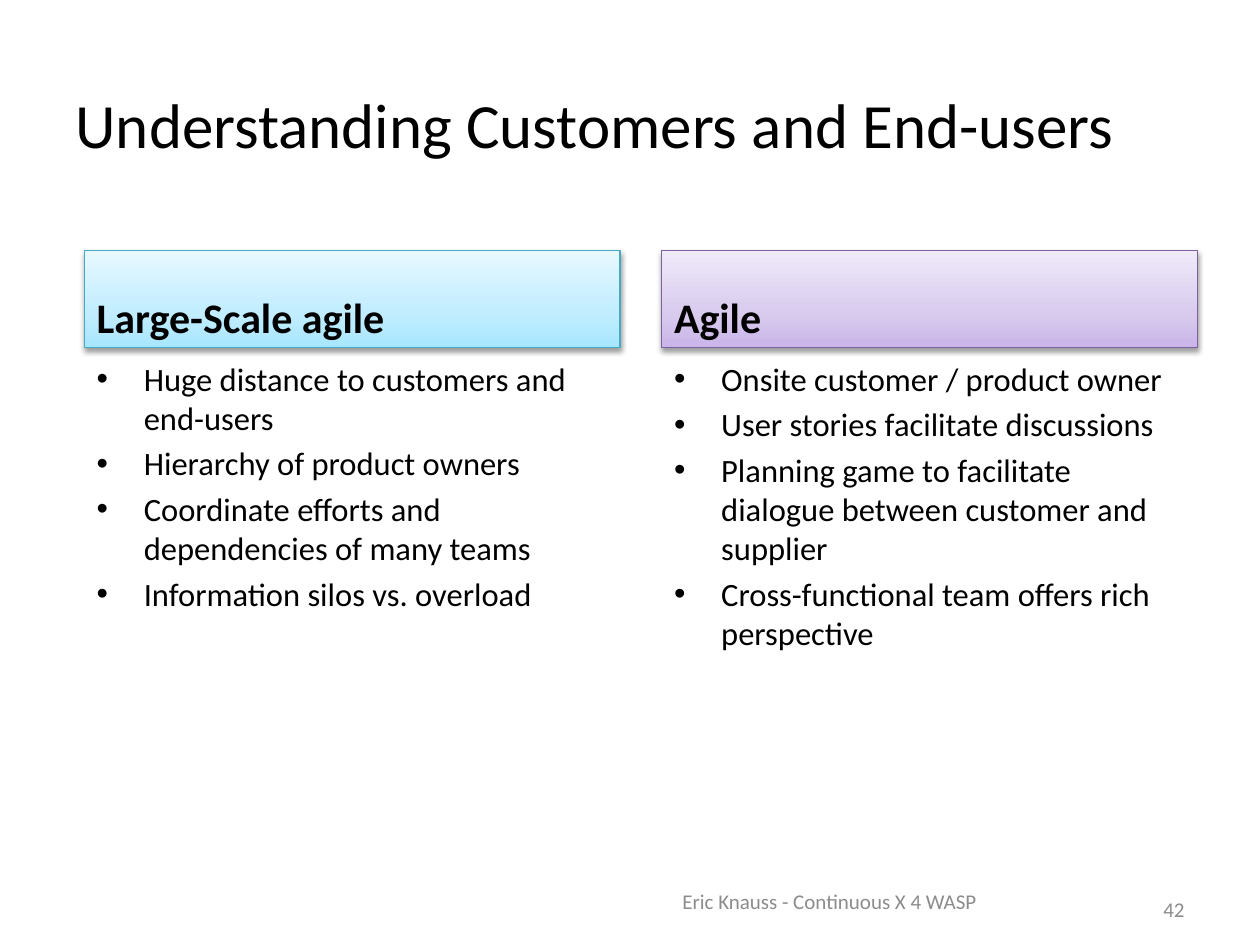
from dataclasses import dataclass

from lxml.etree import SubElement
from pptx import Presentation
from pptx.dml.color import RGBColor
from pptx.enum.shapes import MSO_SHAPE
from pptx.enum.text import MSO_ANCHOR as ANCHOR, MSO_AUTO_SIZE, PP_ALIGN as ALIGN
from pptx.oxml.ns import qn
from pptx.util import Cm, Pt

TITLE = "Understanding Customers and End-users"
COLUMNS = [
    {
        "heading": "Large-Scale agile",
        "points": [
            "Huge distance to customers and end-users",
            "Hierarchy of product owners",
            "Coordinate efforts and dependencies of many teams",
            "Information silos vs. overload",
        ],
        "scheme": "aqua",
    },
    {
        "heading": "Agile",
        "points": [
            "Onsite customer / product owner",
            "User stories facilitate discussions",
            "Planning game to facilitate dialogue between customer and supplier",
            "Cross-functional team offers rich perspective",
        ],
        "scheme": "purple",
    },
]
FOOTER = "Eric Knauss - Continuous X 4 WASP"
PAGE_NUMBER = "42"


@dataclass(frozen=True)
class Theme:
    font: str = "Calibri"
    text: str = "000000"
    muted: str = "8C8C8C"
    title: float = 36
    heading: float = 24
    body: float = 18.6
    small: float = 12
    # Line colour, then gradient stops from bottom to top
    aqua: tuple = ("46AAC5", ((0, "A7E6FF"), (35, "C1EDFF"), (100, "E7F8FF")))
    purple: tuple = ("7D60A0", ((0, "C9B5E8"), (35, "D8CBEE"), (100, "F0EAF9")))


THEME = Theme()

# Column layout in centimetres
LEFT, COLUMN_W, GUTTER = 1.7, 10.8, 0.84
HEADING_TOP, HEADING_H = 5.05, 1.96
POINTS_TOP, POINTS_H = 7.11, 9.73
BULLET_INDENT = 0.95


def setup_frame(s, anchor):
    tf = s.text_frame
    tf.word_wrap = True
    tf.auto_size = MSO_AUTO_SIZE.NONE
    tf.vertical_anchor = anchor
    return tf


def write(p, text, size, color=THEME.text, bold=False, align=ALIGN.LEFT):
    p.alignment = align
    r = p.add_run()
    r.text = text
    r.font.name = THEME.font
    r.font.size = Pt(size)
    r.font.bold = bold
    r.font.color.rgb = RGBColor.from_string(color)


def add_text(slide, box, text, align):
    s = slide.shapes.add_textbox(*map(Cm, box))
    tf = setup_frame(s, ANCHOR.MIDDLE)
    write(tf.paragraphs[0], text, THEME.small, THEME.muted, align=align)


def add_color(parent, color):
    return SubElement(parent, qn("a:srgbClr"), val=color)


def fill_gradient(s, stops):
    s.fill.gradient()
    s.fill.gradient_angle = 90
    gs_list = s.element.spPr.find(qn("a:gradFill")).find(qn("a:gsLst"))
    for gs in list(gs_list):
        gs_list.remove(gs)
    for position, color in stops:
        add_color(SubElement(gs_list, qn("a:gs"), pos=str(position * 1000)), color)


def add_soft_shadow(s):
    s.shadow.inherit = False
    effects = s.element.spPr.find(qn("a:effectLst"))
    shadow = SubElement(effects, qn("a:outerShdw"), blurRad=str(Pt(3.1)),
                        dist=str(Pt(1.6)), dir="5400000", rotWithShape="0")
    SubElement(add_color(shadow, "000000"), qn("a:alpha"), val="38000")


def add_heading(slide, left, text, scheme):
    line, stops = scheme
    s = slide.shapes.add_shape(MSO_SHAPE.RECTANGLE, Cm(left), Cm(HEADING_TOP),
                               Cm(COLUMN_W), Cm(HEADING_H))
    fill_gradient(s, stops)
    s.line.color.rgb = RGBColor.from_string(line)
    s.line.width = Pt(0.75)
    add_soft_shadow(s)
    tf = setup_frame(s, ANCHOR.BOTTOM)
    write(tf.paragraphs[0], text, THEME.heading, bold=True)


def add_points(slide, left, points):
    s = slide.shapes.add_textbox(Cm(left), Cm(POINTS_TOP), Cm(COLUMN_W), Cm(POINTS_H))
    tf = setup_frame(s, ANCHOR.TOP)
    for i, point in enumerate(points):
        p = tf.add_paragraph() if i else tf.paragraphs[0]
        pPr = p._p.get_or_add_pPr()
        pPr.set("marL", str(Cm(BULLET_INDENT)))
        pPr.set("indent", str(-Cm(BULLET_INDENT)))
        SubElement(pPr, qn("a:buFont"), typeface="Arial")
        SubElement(pPr, qn("a:buChar"), char="•")
        if i:
            p.space_before = Pt(0.2 * THEME.body)
        write(p, point, THEME.body)


def main():
    prs = Presentation()
    prs.slide_width, prs.slide_height = Cm(25.4), Cm(19.05)
    slide = prs.slides.add_slide(prs.slide_layouts[5])

    title = slide.shapes.title
    title.left, title.top, title.width, title.height = map(Cm, (1.27, 1.3, 22.86, 2.39))
    write(setup_frame(title, ANCHOR.MIDDLE).paragraphs[0], TITLE, THEME.title)

    for i, column in enumerate(COLUMNS):
        left = LEFT + i * (COLUMN_W + GUTTER)
        add_points(slide, left, column["points"])
        add_heading(slide, left, column["heading"], getattr(THEME, column["scheme"]))

    add_text(slide, (12.7, 17.65, 8.05, 1.02), FOOTER, ALIGN.CENTER)
    add_text(slide, (21.21, 18.01, 2.92, 0.64), PAGE_NUMBER, ALIGN.RIGHT)
    prs.save("out.pptx")


if __name__ == "__main__":
    main()
